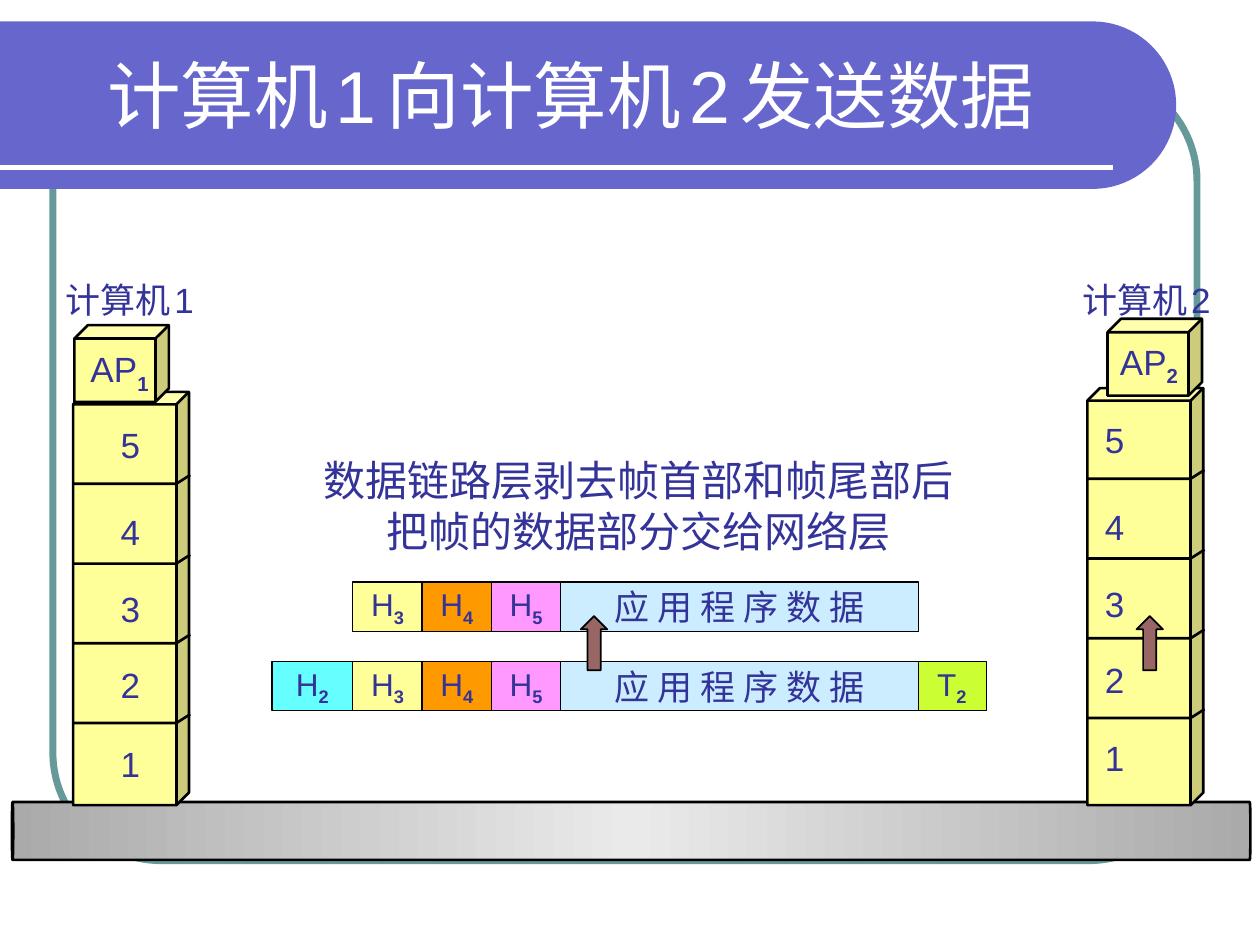
from copy import deepcopy
from math import cos, pi, sin

from lxml import etree
from pptx import Presentation
from pptx.dml.color import RGBColor
from pptx.enum.shapes import MSO_CONNECTOR, MSO_SHAPE
from pptx.enum.text import MSO_ANCHOR, MSO_AUTO_SIZE, PP_ALIGN
from pptx.oxml.ns import qn
from pptx.util import Inches, Pt

RECT, ROUND = MSO_SHAPE.RECTANGLE, MSO_SHAPE.ROUNDED_RECTANGLE
CUBE, CAN, ARROW = MSO_SHAPE.CUBE, MSO_SHAPE.CAN, MSO_SHAPE.UP_ARROW
LEFT, MID = PP_ALIGN.LEFT, PP_ALIGN.CENTER

WHITE = RGBColor(0xFF, 0xFF, 0xFF)
BLACK = RGBColor(0, 0, 0)
NAVY = RGBColor(0x33, 0x33, 0x99)
TEAL = RGBColor(0x66, 0x99, 0x99)
VIOLET = RGBColor(0x66, 0x66, 0xCC)
YELLOW = RGBColor(0xFF, 0xFF, 0x99)
ORANGE = RGBColor(0xFF, 0x99, 0x00)
PINK = RGBColor(0xFF, 0x99, 0xFF)
PALE = RGBColor(0xCC, 0xEC, 0xFF)
CYAN = RGBColor(0x66, 0xFF, 0xFF)
LIME = RGBColor(0xCC, 0xFF, 0x33)
BROWN = RGBColor(0x99, 0x66, 0x66)
GREY = RGBColor(0xAA, 0xAA, 0xAA)
LIGHT = RGBColor(0xEA, 0xEA, 0xEA)

COLS, ROWS = 100, 75
FIELD, ROW_H = 5.5, 3.9
DATA = "应 用 程 序 数 据"


def grid(*cells):
    """Turn counts of grid cells, a tenth of an inch each, into lengths."""
    return [Inches(n / 10) for n in cells]


def paint(shape, fill, line, width):
    shape.shadow.inherit = False
    if fill is None:
        shape.fill.background()
    else:
        shape.fill.solid()
        shape.fill.fore_color.rgb = fill
    if line is None:
        shape.line.fill.background()
    else:
        shape.line.color.rgb = line
        shape.line.width = Pt(width)


def block(slide, kind, box, fill, line=BLACK, width=1.5, adj=None):
    shape = slide.shapes.add_shape(kind, *grid(*box))
    paint(shape, fill, line, width)
    if adj is not None:
        shape.adjustments[0] = adj
    return shape


def outline(slide, points, closed, fill, line, width=1.5):
    spots = [grid(*p) for p in points]
    form = slide.shapes.build_freeform(*spots[0])
    form.add_line_segments(spots[1:], close=closed)
    paint(form.convert_to_shape(), fill, line, width)


def write(frame, lines, size, color=NAVY, align=LEFT, font="Arial"):
    """Each line is a list of pieces: "_" leads a subscript, a lone space is half size."""
    for i, pieces in enumerate(lines):
        para = frame.paragraphs[0] if i == 0 else frame.add_paragraph()
        para.alignment = align
        for piece in pieces:
            run = para.add_run()
            run.text = piece.lstrip("_")
            run.font.name = font
            run.font.size = Pt(size / 2 if piece == " " else size)
            run.font.color.rgb = color
            if piece.startswith("_"):
                run.font.bold = True
                run.font._element.set("baseline", "-25000")


def label(slide, box, lines, size=20, align=LEFT):
    frame = slide.shapes.add_textbox(*grid(*box)).text_frame
    frame.word_wrap = False
    frame.auto_size = MSO_AUTO_SIZE.SHAPE_TO_FIT_TEXT
    write(frame, lines, size, align=align)


def banner(slide):
    block(slide, ROUND, (4.2, 5.8, 90.8, 62.5), None, TEAL, 4, 0.137)
    top, rad, bend, steps = 1.7, 6.65, 86.7, 40
    turns = [pi * i / steps for i in range(steps + 1)]
    arc = [(bend + rad * sin(t), top + rad - rad * cos(t)) for t in turns]
    outline(slide, [(0, top), *arc, (0, top + 2 * rad)], True, VIOLET, None)
    rule = slide.shapes.add_connector(
        MSO_CONNECTOR.STRAIGHT, *grid(0, 13.3, 88.3, 13.3))
    rule.line.color.rgb = WHITE
    rule.line.width = Pt(3)
    etree.SubElement(rule._element.spPr, qn("a:effectLst"))
    frame = slide.shapes.add_textbox(*grid(2.1, 2.5, 87.7, 10)).text_frame
    frame.word_wrap = True
    frame.vertical_anchor = MSO_ANCHOR.MIDDLE
    title = ["计算机", " ", "1", " ", "向计算机", " ", "2", " ", "发送数据 "]
    write(frame, [title], 42, WHITE, MID)


def pipe(slide):
    """Lay a long can on its side, shaded from its ends to its middle."""
    can = block(slide, CAN, (47.8, 16.8, 4.6, 98.3), GREY, adj=0.023)
    can.rotation = 270
    can.fill.gradient()
    can.fill.gradient_angle = 90
    first = can._element.spPr.find(".//" + qn("a:gs"))
    first.addnext(deepcopy(first))
    shades = zip(can.fill.gradient_stops, (0, 0.5, 1), (GREY, LIGHT, GREY))
    for stop, place, shade in shades:
        stop.position = place
        stop.color.rgb = shade


def tower(slide, x, top, text_x, drop):
    block(slide, CUBE, (x, top, 9.2, 63.9 - top), YELLOW, adj=0.108)
    for digit, y in zip("54321", (33.1, 40, 46.1, 52.2, 58.4)):
        label(slide, (text_x, y - drop, 3.5, 4.4), [[digit]])
    for i in range(4):
        y = 38.4 + 6.33 * i - drop
        edge = [(x, y), (x + 8.2, y), (x + 9.3, y - 0.7)]
        outline(slide, edge, False, None, BLACK)


def program(slide, num, name_x, cube, text):
    label(slide, (name_x, 21.6, 13, 4.4), [["计算机", " ", num]])
    block(slide, CUBE, (*cube, 7.5, 6.1), YELLOW, adj=0.176)
    label(slide, (*text, 6.6, 4.8), [["AP", "_" + num]])


def field(slide, x, y, wide, fill, pieces, size=18, font="Arial"):
    frame = block(slide, RECT, (x, y, wide, ROW_H), fill, width=0.75).text_frame
    frame.word_wrap = False
    frame.vertical_anchor = MSO_ANCHOR.MIDDLE
    write(frame, [pieces], size, align=MID, font=font)


def packet(slide, y):
    x = 28
    for num, fill in zip("345", (YELLOW, ORANGE, PINK)):
        field(slide, x, y, FIELD, fill, ["H", "_" + num])
        x += FIELD
    field(slide, x, y, 28.4, PALE, [DATA], 20, "Karla")


def main():
    deck = Presentation()
    deck.slide_width, deck.slide_height = grid(COLS, ROWS)
    slide = deck.slides.add_slide(deck.slide_layouts[6])
    banner(slide)
    packet(slide, 46.2)
    pipe(slide)
    tower(slide, 5.8, 31.1, 8.6, 0)
    tower(slide, 86.3, 30.8, 86.7, 0.4)
    program(slide, "1", 4.2, (5.9, 25.8), (6.2, 27.1))
    program(slide, "2", 84.9, (87.9, 25.3), (87.9, 26.5))
    note = [["数据链路层剥去帧首部和帧尾部后"], ["把帧的数据部分交给网络层"]]
    label(slide, (24.7, 35.6, 52, 9), note, 24, MID)
    field(slide, 21.6, 52.5, 6.4, CYAN, ["H", "_2"])
    field(slide, 72.8, 52.5, FIELD, LIME, ["T", "_2"])
    packet(slide, 52.5)
    for x in (90.2, 46.1):
        block(slide, ARROW, (x, 48.9, 2.1, 4.3), BROWN, width=1, adj=0.5)
    deck.save("out.pptx")


if __name__ == "__main__":
    main()
